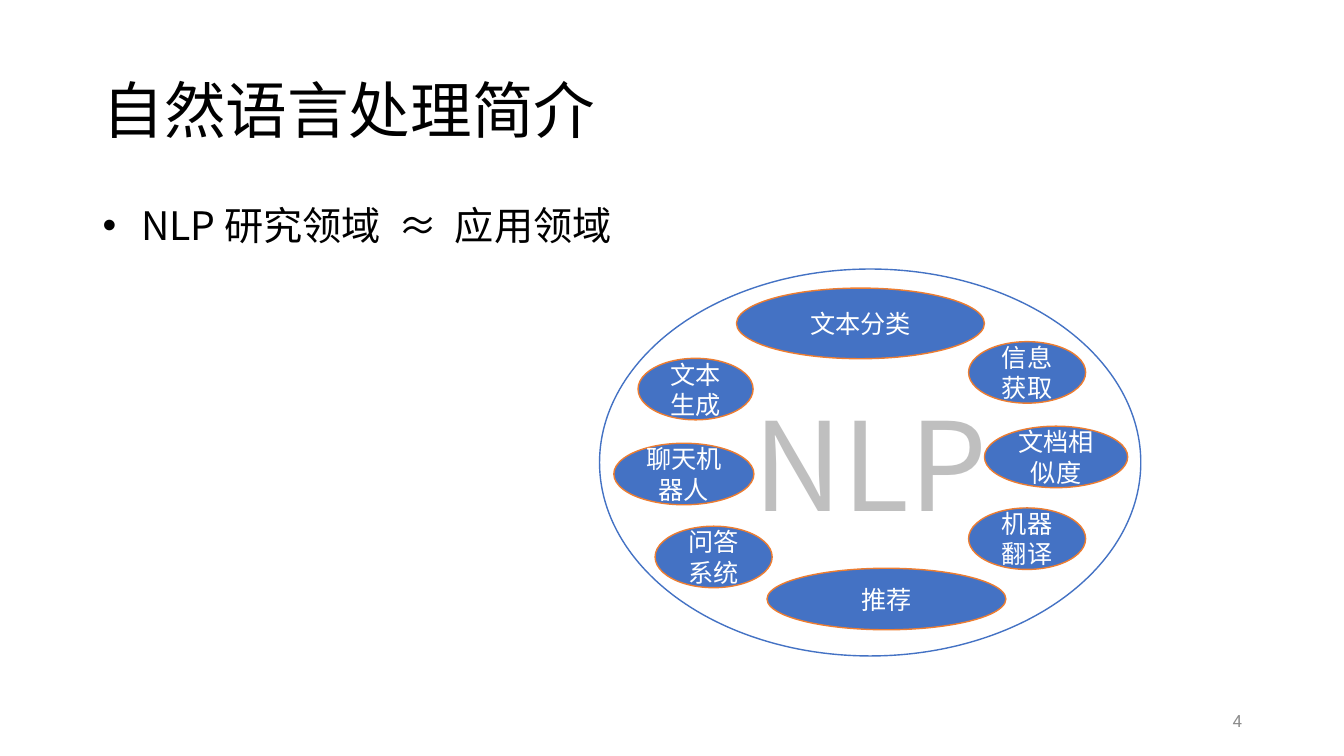
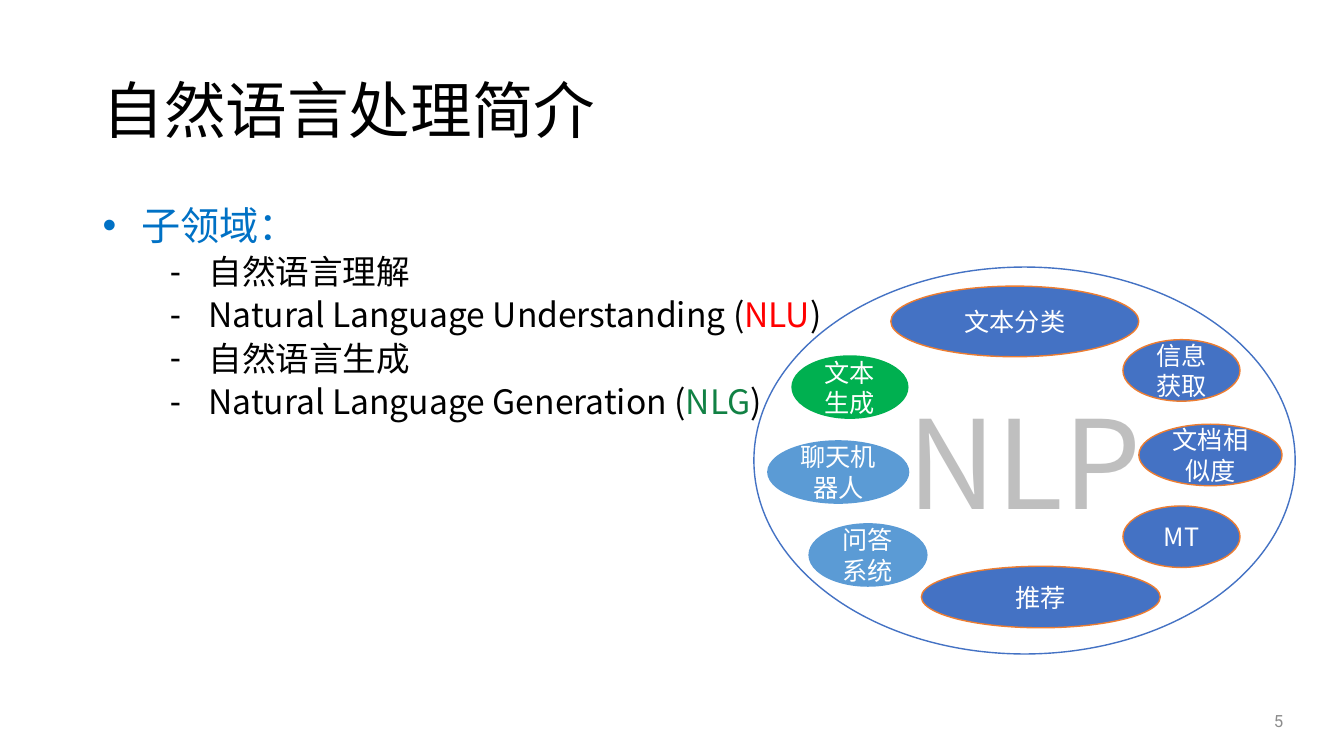
"""Build two slides that introduce the fields of natural language processing."""
from dataclasses import dataclass

from lxml import etree
from pptx import Presentation
from pptx.dml.color import RGBColor
from pptx.enum.shapes import MSO_SHAPE
from pptx.enum.text import MSO_ANCHOR, MSO_AUTO_SIZE, PP_ALIGN
from pptx.oxml.ns import qn
from pptx.util import Cm, Pt

OVAL = MSO_SHAPE.OVAL
MIDDLE, TOP = MSO_ANCHOR.MIDDLE, MSO_ANCHOR.TOP
LEFT, CENTER, RIGHT = PP_ALIGN.LEFT, PP_ALIGN.CENTER, PP_ALIGN.RIGHT
NO_FIT = MSO_AUTO_SIZE.NONE


@dataclass(frozen=True)
class Theme:
    """Colours, fonts and type sizes shared by the slides."""
    font: str = "Noto Sans CJK SC"
    number_font: str = "Roboto"
    bullet_font: str = "Arial"
    black: str = "000000"
    white: str = "FFFFFF"
    blue: str = "4472C4"
    orange: str = "ED7D31"
    sky: str = "5B9BD5"
    green: str = "00B050"
    heading_blue: str = "0071C5"
    red: str = "FF0000"
    dark_green: str = "118144"
    pale_gray: str = "BFBFBF"
    number_gray: str = "8C8C8C"
    title_size: int = 44
    heading_size: int = 28
    item_size: int = 24
    bubble_size: int = 18
    hub_size: int = 88
    number_size: int = 12


THEME = Theme()
TITLE = "自然语言处理简介"
MARGIN, CONTENT_WIDTH = 2.33, 29.21
HUB_WIDTH, HUB_HEIGHT = 13.64, 9.75
BUBBLE_HEIGHT = 1.55

# Each bubble: label, left and top inside the hub, width, height
BUBBLES = (
    ("信息获取", 9.3, 1.83, 2.95, BUBBLE_HEIGHT),
    ("文本分类", 3.45, 0.48, 6.25, 1.78),
    ("文档相似度", 9.7, 3.96, 3.61, BUBBLE_HEIGHT),
    ("推荐", 4.22, 7.54, 6.02, BUBBLE_HEIGHT),
    ("机器翻译", 9.3, 6.02, 2.95, BUBBLE_HEIGHT),
    ("文本生成", 0.97, 2.25, 2.9, BUBBLE_HEIGHT),
    ("问答系统", 1.4, 6.48, 2.95, BUBBLE_HEIGHT),
    ("聊天机器人", 0.36, 4.39, 3.53, BUBBLE_HEIGHT),
)


def rgb(color):
    """Return the colour object for a hex string."""
    return RGBColor.from_string(color)


def style_para(para, size, color, align=LEFT, font=THEME.font):
    """Set alignment and font of a whole paragraph."""
    para.alignment = align
    para.font.name = font
    para.font.size = Pt(size)
    para.font.color.rgb = rgb(color)
    defaults = para._p.pPr.find(qn("a:defRPr"))
    etree.SubElement(defaults, qn("a:ea"), typeface=font)


def place(shape, left, top, width, height):
    """Move and size a shape, with lengths in centimetres."""
    shape.left, shape.top = Cm(left), Cm(top)
    shape.width, shape.height = Cm(width), Cm(height)


def add_title(page):
    """Fill the title placeholder."""
    title = page.shapes.title
    place(title, MARGIN, 1.01, CONTENT_WIDTH, 3.68)
    frame = title.text_frame
    frame.text = TITLE
    frame.vertical_anchor = MIDDLE
    frame.auto_size = NO_FIT
    para = frame.paragraphs[0]
    para.line_spacing = 0.9
    style_para(para, THEME.title_size, THEME.black)


def add_bullet(para, symbol, indent):
    """Give a paragraph a hanging bullet."""
    properties = para._p.get_or_add_pPr()
    properties.set("marL", str(Cm(indent)))
    properties.set("indent", str(Cm(-0.97)))
    etree.SubElement(properties, qn("a:buFont"), typeface=THEME.bullet_font)
    etree.SubElement(properties, qn("a:buChar"), char=symbol)


def add_list(page, heading, color, items=()):
    """Fill the body placeholder with a heading and its dashed items."""
    body = page.placeholders[1]
    place(body, MARGIN, 5.07, CONTENT_WIDTH, 12.09)
    frame = body.text_frame
    frame.vertical_anchor = TOP
    frame.auto_size = NO_FIT
    first = frame.paragraphs[0]
    first.text = heading
    add_bullet(first, "•", 0.97)
    first.line_spacing = 0.9
    first.space_before = Pt(0)
    style_para(first, THEME.heading_size, color)
    for spans in items:
        para = frame.add_paragraph()
        add_bullet(para, "-", 2.67)
        para.line_spacing = 0.9
        para.space_before = Pt(5)
        style_para(para, THEME.item_size, THEME.black)
        for text, accent in spans:
            span = para.add_run()
            span.text = text
            if accent:
                span.font.color.rgb = rgb(accent)


def add_number(page, number, left):
    """Add the page number at the foot."""
    box = page.shapes.add_textbox(Cm(left), Cm(17.65), Cm(7.62), Cm(1.01))
    frame = box.text_frame
    frame.word_wrap = True
    frame.vertical_anchor = MIDDLE
    frame.text = str(number)
    style_para(frame.paragraphs[0], THEME.number_size, THEME.number_gray,
               RIGHT, THEME.number_font)


def add_oval(group, bounds, text, fill, line, line_width, size, color):
    """Add an ellipse with centred text to a group."""
    oval = group.shapes.add_shape(OVAL, *(Cm(length) for length in bounds))
    oval.shadow.inherit = False
    oval.fill.solid()
    oval.fill.fore_color.rgb = rgb(fill)
    oval.line.color.rgb = rgb(line)
    oval.line.width = Pt(line_width)
    frame = oval.text_frame
    frame.word_wrap = True
    frame.vertical_anchor = MIDDLE
    frame.text = text
    style_para(frame.paragraphs[0], size, color, CENTER)


def add_field_map(page, left, top, highlights, renamed):
    """Draw the NLP hub with its field bubbles."""
    group = page.shapes.add_group_shape()
    add_oval(group, (left, top, HUB_WIDTH, HUB_HEIGHT), "NLP", THEME.white,
             THEME.blue, 1, THEME.hub_size, THEME.pale_gray)
    for label, across, down, width, height in BUBBLES:
        highlight = highlights.get(label)
        add_oval(group, (left + across, top + down, width, height),
                 renamed.get(label, label), highlight or THEME.blue,
                 highlight or THEME.orange, 1.5 if highlight else 1,
                 THEME.bubble_size, THEME.white)


def add_page(deck, number, number_left, heading, color, map_at,
             items=(), highlights=None, renamed=None):
    """Add one slide with title, list, page number and field map."""
    page = deck.slides.add_slide(deck.slide_layouts[1])
    add_title(page)
    add_list(page, heading, color, items)
    add_number(page, number, number_left)
    add_field_map(page, *map_at, highlights or {}, renamed or {})


def main():
    """Build and save the deck."""
    deck = Presentation()
    deck.slide_width, deck.slide_height = Cm(33.87), Cm(19.05)
    add_page(deck, 4, 23.93, "NLP 研究领域  ≈  应用领域", THEME.black,
             (15.11, 6.78))
    subfields = (
        (("自然语言理解", None),),
        (("Natural Language Understanding (", None), ("NLU", THEME.red),
         (")", None)),
        (("自然语言生成", None),),
        (("Natural Language Generation (", None), ("NLG", THEME.dark_green),
         (")", None)),
    )
    add_page(deck, 5, 24.97, "子领域：", THEME.heading_blue, (19, 6.73),
             subfields,
             {"文本生成": THEME.green, "问答系统": THEME.sky,
              "聊天机器人": THEME.sky},
             {"机器翻译": "MT"})
    deck.save("out.pptx")


if __name__ == "__main__":
    main()
